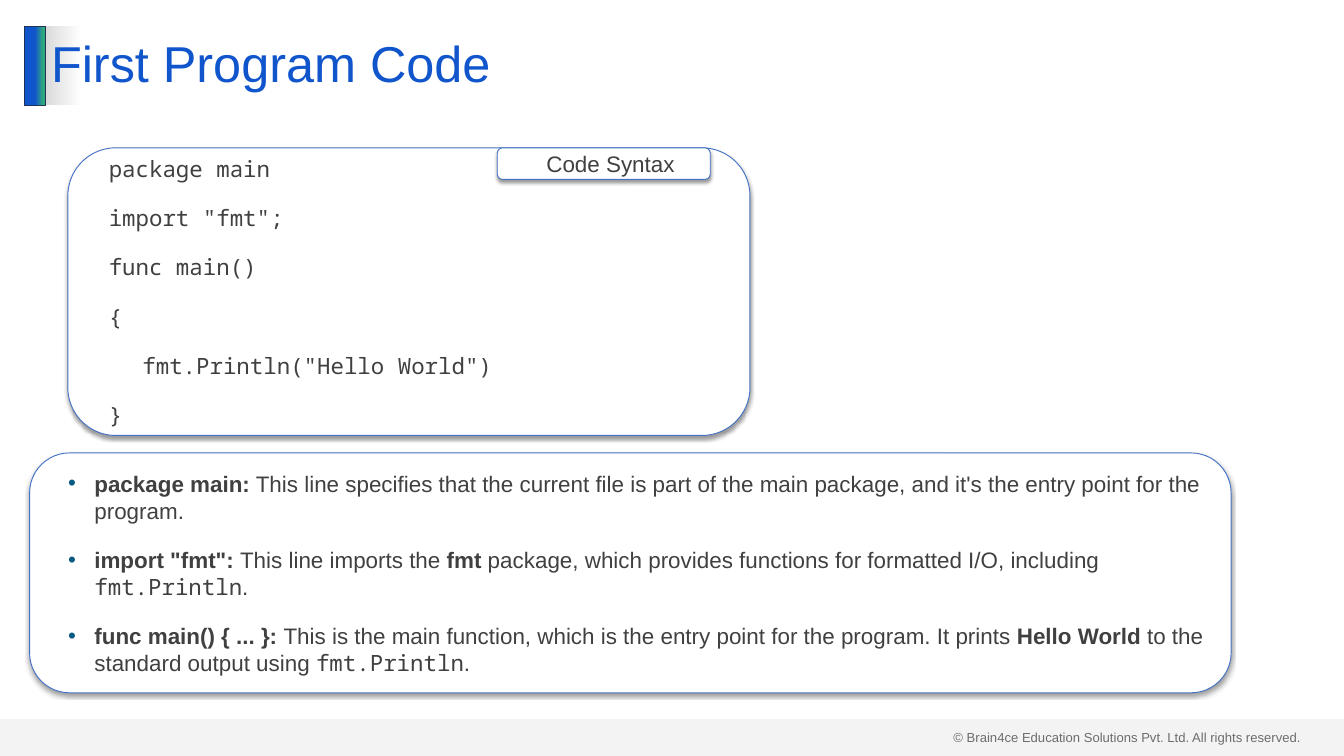
from lxml.etree import SubElement
from pptx import Presentation
from pptx.dml.color import RGBColor
from pptx.enum.shapes import MSO_SHAPE as SHAPE
from pptx.enum.text import MSO_ANCHOR as ANCHOR, MSO_AUTO_SIZE as AUTO_SIZE, PP_ALIGN as ALIGN
from pptx.oxml import parse_xml
from pptx.oxml.ns import nsdecls, qn
from pptx.util import Inches, Pt

BLUE = RGBColor(0x11, 0x55, 0xCC)
GREEN = RGBColor(0x2E, 0xA8, 0x7D)
NAVY = RGBColor(0x1E, 0x32, 0x56)
OUTLINE = RGBColor(0x44, 0x72, 0xC4)
BULLET = RGBColor(0x09, 0x5A, 0x82)
TEXT = RGBColor(0x40, 0x40, 0x40)
GRAY = RGBColor(0xD9, 0xD9, 0xD9)
WHITE = RGBColor(0xFF, 0xFF, 0xFF)
SANS, MONO = "Arial", "Noto Sans Mono"

TITLE = "First Program Code"
TAG = "Code Syntax"
COPYRIGHT = "© Brain4ce Education Solutions Pvt. Ltd. All rights reserved."
CODE = [
    "package main",
    'import "fmt";',
    "func main()",
    "{",
    '\tfmt.Println("Hello World")',
    "}",
]
NOTES = [
    [("package main:", "bold"),
     (" This line specifies that the current file is part of the main package, "
      "and it's the entry point for the program.", "plain")],
    [('import "fmt": ', "bold"), ("This line imports the ", "plain"), ("fmt", "bold"),
     (" package, which provides functions for formatted I/O, including ", "plain"),
     ("fmt.Println", "code"), (".", "plain")],
    [("func main() { ... }: ", "bold"),
     ("This is the main function, which is the entry point for the program. It prints ", "plain"),
     ("Hello World", "bold"), (" to the standard output using ", "plain"),
     ("fmt.Println", "code"), (".", "plain")],
]


def place(shape, left, top, width, height):
    shape.left, shape.top = Inches(left), Inches(top)
    shape.width, shape.height = Inches(width), Inches(height)


def add_shape(slide, kind, *box):
    shape = slide.shapes.add_shape(kind, *map(Inches, box))
    shape.shadow.inherit = False
    return shape


def fill_gradient(shape, *stops):
    shape.fill.gradient()
    shape.fill.gradient_angle = 0
    for stop, (position, color) in zip(shape.fill.gradient_stops, stops):
        stop.position, stop.color.rgb = position, color


def style_card(shape):
    shape.fill.solid()
    shape.fill.fore_color.rgb = WHITE
    shape.line.color.rgb = OUTLINE
    shape.line.width = Pt(1)
    shape.shadow.inherit = False
    effects = shape._element.spPr.find(qn("a:effectLst"))
    shadow = SubElement(effects, qn("a:outerShdw"), blurRad=str(Pt(4)), dist=str(Pt(3)),
                        dir="5400000", algn="t", rotWithShape="0")
    color = SubElement(shadow, qn("a:srgbClr"), val="000000")
    SubElement(color, qn("a:alpha"), val="40000")


def add_bullet(paragraph):
    properties = paragraph._p.get_or_add_pPr()
    properties.set("marL", str(Inches(0.59)))
    properties.set("indent", str(Inches(-0.39)))
    SubElement(SubElement(properties, qn("a:buClr")), qn("a:srgbClr"), val=str(BULLET))
    SubElement(properties, qn("a:buFont"), typeface=SANS)
    SubElement(properties, qn("a:buChar"), char="•")


def add_tab(paragraph, position):
    tabs = SubElement(paragraph._p.get_or_add_pPr(), qn("a:tabLst"))
    SubElement(tabs, qn("a:tab"), pos=str(Inches(position)), algn="l")


def write(shape, paragraphs, size=24, font=SANS, color=TEXT, align=ALIGN.LEFT,
          insets=(0.1, 0.05, 0.1, 0.05), gap=24, line_spacing=1.0, bullets=False, wrap=True):
    frame = shape.text_frame
    frame.word_wrap = wrap
    frame.auto_size = AUTO_SIZE.NONE
    frame.vertical_anchor = ANCHOR.MIDDLE
    frame.margin_left, frame.margin_top, frame.margin_right, frame.margin_bottom = map(Inches, insets)
    for index, content in enumerate(paragraphs):
        paragraph = frame.add_paragraph() if index else frame.paragraphs[0]
        if bullets:
            add_bullet(paragraph)
        runs = [(content, "plain")] if isinstance(content, str) else content
        if runs[0][0].startswith("\t"):
            add_tab(paragraph, 0.5)
        paragraph.alignment = align
        paragraph.line_spacing = line_spacing
        paragraph.space_before = Pt(gap if index else 0)
        paragraph.space_after = Pt(0)
        for text, style in runs:
            run = paragraph.add_run()
            run.text = text
            run.font.name = MONO if style == "code" else font
            run.font.size = Pt(size)
            run.font.bold = style == "bold"
            run.font.color.rgb = color


def main():
    presentation = Presentation()
    presentation.slide_width, presentation.slide_height = Inches(20), Inches(11.25)
    slide = presentation.slides.add_slide(presentation.slide_layouts[1])
    title, notes = slide.placeholders

    copyright_box = slide.shapes.add_textbox(*map(Inches, (14.09, 10.8, 5.41, 0.34)))
    write(copyright_box, [COPYRIGHT], size=14, wrap=False)

    footer = add_shape(slide, SHAPE.RECTANGLE, 0, 10.7, 20, 0.55)
    footer.fill.solid()
    footer.fill.fore_color.rgb = GRAY
    footer.line.fill.background()
    footer_color = footer._element.spPr.find(qn("a:solidFill"))[0]
    SubElement(footer_color, qn("a:alpha"), val="29000")

    accent = add_shape(slide, SHAPE.RECTANGLE, 0.37, 0.39, 0.3, 1.18)
    fill_gradient(accent, (0.51, BLUE), (0.9, GREEN))
    accent.line.color.rgb = NAVY
    accent.line.width = Pt(1)

    place(title, 0.66, 0.39, 18.67, 1.18)
    fill_gradient(title, (0, GRAY), (0.03, WHITE))
    write(title, [TITLE], size=54, color=BLUE, line_spacing=0.9)

    code_insets = (0.4, 0.1, 0.2, 0.1)
    code = add_shape(slide, SHAPE.ROUNDED_RECTANGLE, 1.01, 2.2, 10.15, 4.28)
    style_card(code)
    write(code, CODE, font=MONO, insets=code_insets)

    tag = add_shape(slide, SHAPE.ROUNDED_RECTANGLE, 7.4, 2.2, 3.17, 0.47)
    style_card(tag)
    write(tag, [TAG], align=ALIGN.CENTER, insets=code_insets)

    place(notes, 0.44, 6.74, 17.88, 3.57)
    rounded = f'<a:prstGeom {nsdecls("a")} prst="roundRect"><a:avLst/></a:prstGeom>'
    notes._element.spPr.insert(1, parse_xml(rounded))
    style_card(notes)
    write(notes, NOTES, insets=(0.2, 0.1, 0.2, 0.1), bullets=True)

    presentation.save("out.pptx")


if __name__ == "__main__":
    main()
